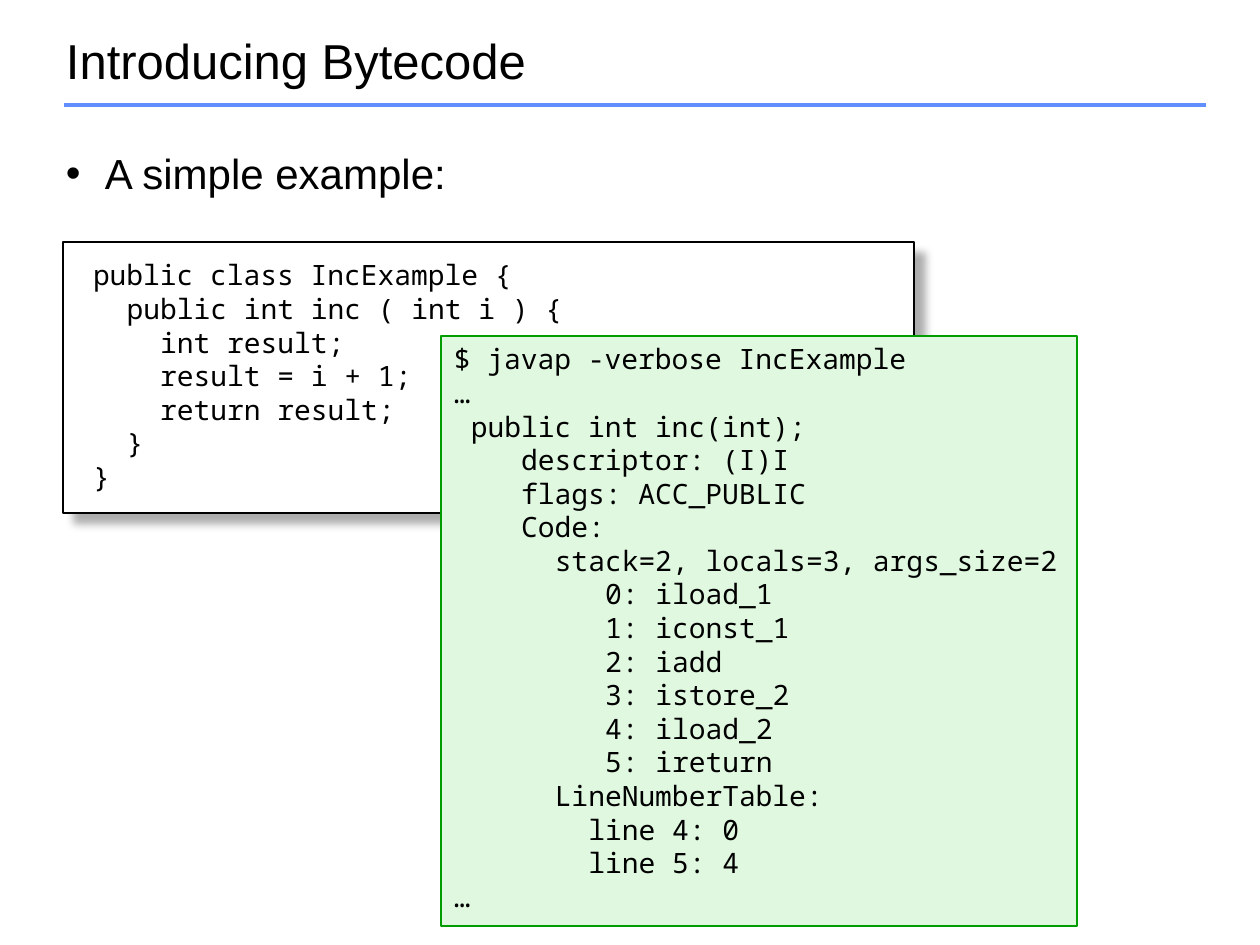
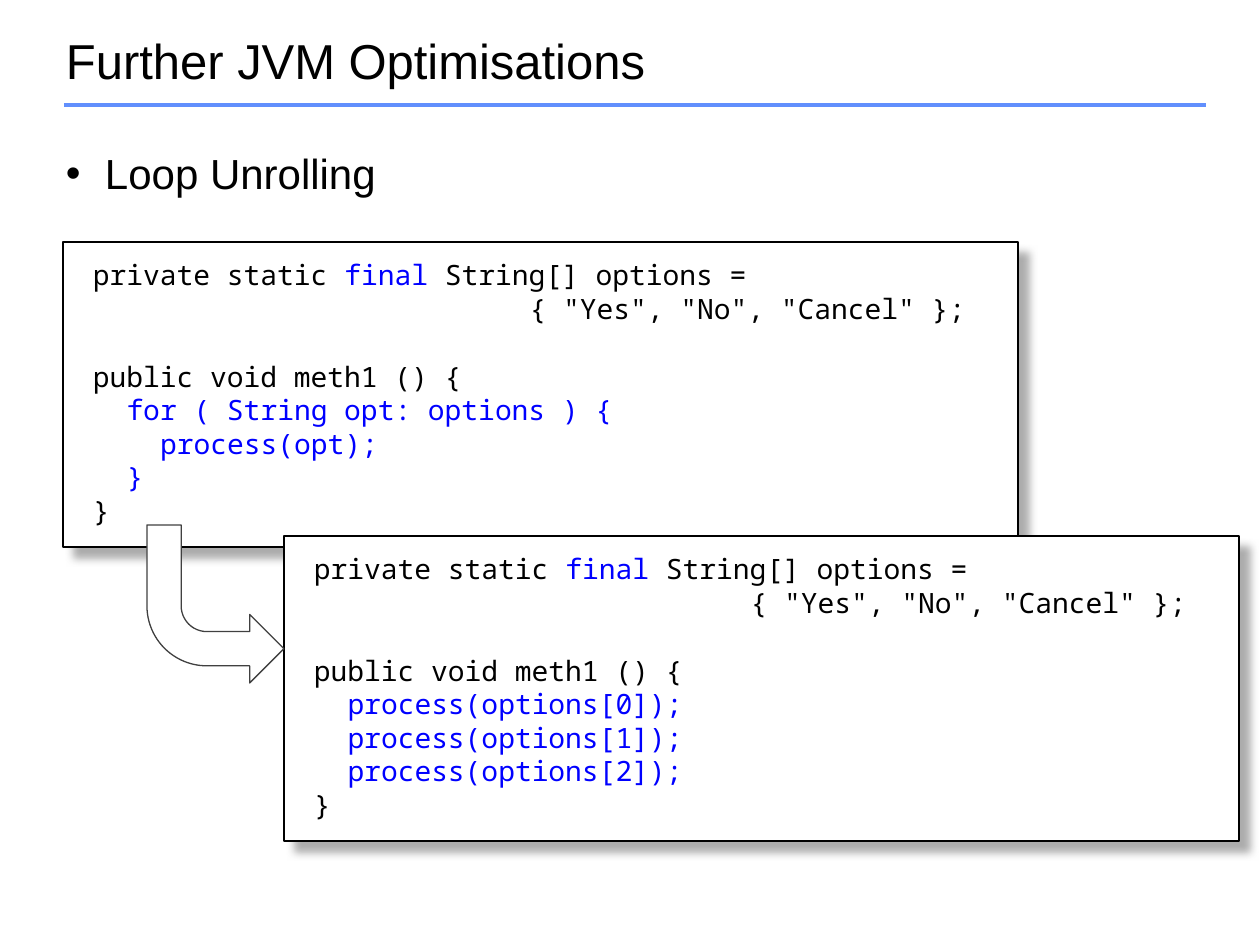
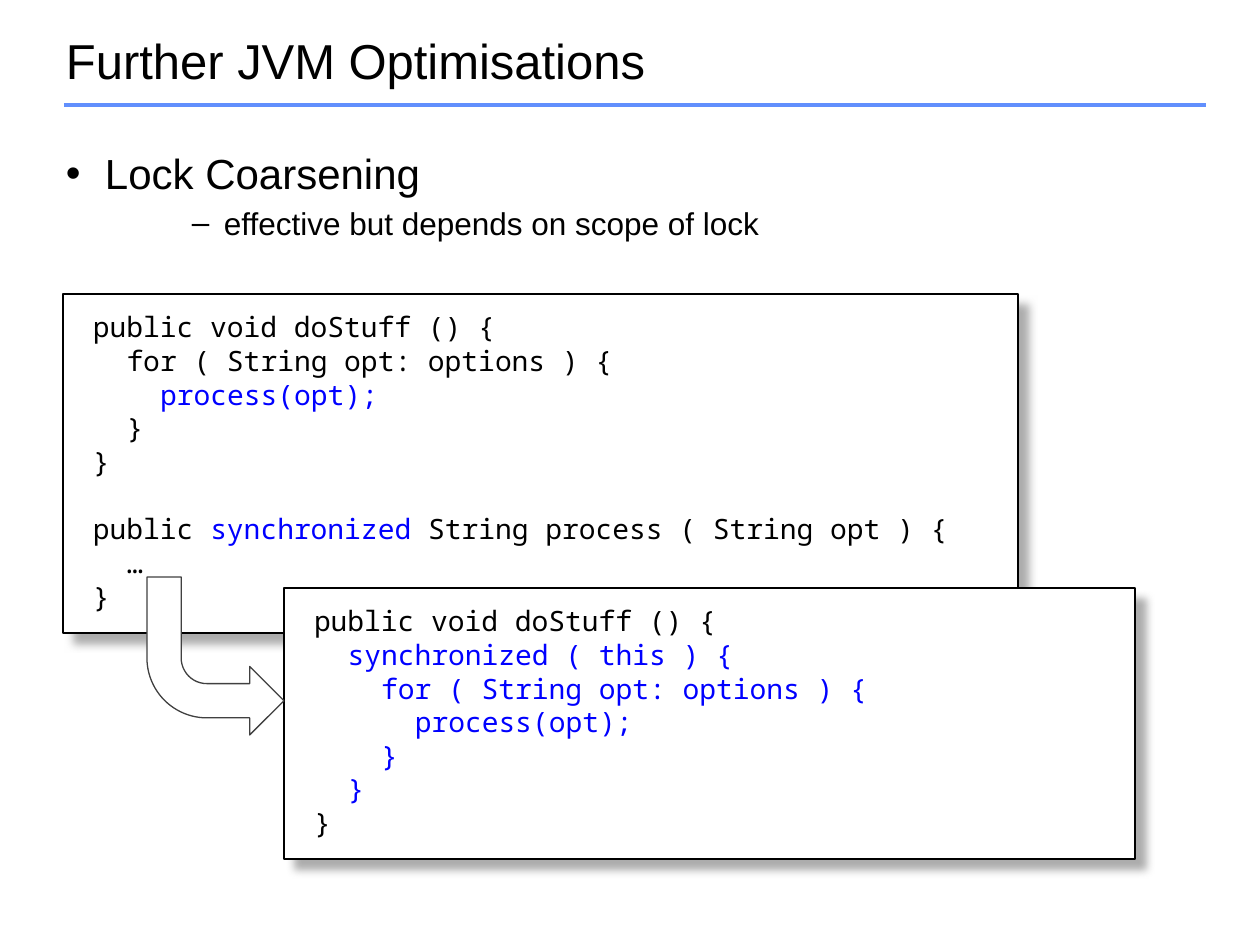
"""Build three slides on JVM bytecode and optimisations."""
from lxml.etree import SubElement
from pptx import Presentation
from pptx.dml.color import RGBColor
from pptx.enum.shapes import MSO_CONNECTOR, MSO_SHAPE
from pptx.enum.text import MSO_ANCHOR, PP_ALIGN
from pptx.oxml.ns import qn
from pptx.util import Emu, Pt

BLACK = RGBColor(0x00, 0x00, 0x00)
WHITE = RGBColor(0xFF, 0xFF, 0xFF)
BLUE = RGBColor(0x00, 0x00, 0xFF)
RULE = RGBColor(0x61, 0x8F, 0xFD)
MINT = RGBColor(0xE0, 0xF8, 0xE0)
GREEN = RGBColor(0x00, 0x9D, 0x00)
GREY = RGBColor(0x40, 0x40, 0x40)
SHADE = RGBColor(0x91, 0x91, 0x91)

SCALE = 914400 / 126
CHAR = 16.8
ROW = 34
MARK = "`"


def px(count):
    return Emu(round(count * SCALE))


def style(target, values):
    for name, value in values.items():
        setattr(target, name, value)


HEAD = {"name": "Arial", "size": Pt(28)}
CODE = {"name": "Noto Sans Mono", "size": Pt(16)}
INSET = {
    "margin_left": px(13), "margin_right": px(13),
    "margin_top": px(6), "margin_bottom": px(6), "word_wrap": True,
}
TOP = {**INSET, "vertical_anchor": MSO_ANCHOR.TOP}
MIDDLE = {**INSET, "vertical_anchor": MSO_ANCHOR.MIDDLE}
PADDED = {**TOP, "margin_left": px(30), "margin_top": px(16), "margin_bottom": px(16)}

LEVELS = [
    {"level": 0, "size": 24, "left": 39, "hang": -39, "sign": "•"},
    {"level": 2, "size": 18, "left": 158, "hang": -32, "sign": "–"},
]
PAPER = {"fill": WHITE, "line": BLACK, "frame": PADDED, "shadow": True}
SHELL = {"fill": MINT, "line": GREEN, "frame": TOP, "shadow": False}

SOURCE = """
public class IncExample {
  public int inc ( int i ) {
    int result;
    result = i + 1;
    return result;
  }
}
"""
LISTING = """
$ javap -verbose IncExample
…
 public int inc(int);
    descriptor: (I)I
    flags: ACC_PUBLIC
    Code:
      stack=2, locals=3, args_size=2
         0: iload_1
         1: iconst_1
         2: iadd
         3: istore_2
         4: iload_2
         5: ireturn
      LineNumberTable:
        line 4: 0
        line 5: 4
…
"""
FIELD = """
private static `final` String[] options =
                          { "Yes", "No", "Cancel" };

public void meth1 () {
"""
LOOP = FIELD + """  `for ( String opt: options ) {`
    `process(opt);`
  `}`
}
"""
FLAT = FIELD + """  `process(options[0]);`
  `process(options[1]);`
  `process(options[2]);`
}
"""
FINE = """
public void doStuff () {
  for ( String opt: options ) {
    `process(opt);`
  }
}

public `synchronized` String process ( String opt ) {
  …
}
"""
COARSE = """
public void doStuff () {
  `synchronized ( this ) {`
    `for ( String opt: options ) {`
      `process(opt);`
    `}`
  `}`
}
"""

PAGES = [
    {
        "title": "Introducing Bytecode",
        "points": ["A simple example:"],
        "depth": 73,
        "blocks": [
            (PAPER, (63, 242, 851, 271), SOURCE),
            (SHELL, (441, 336, 636, 590), LISTING),
        ],
        "arrows": [],
    },
    {
        "title": "Further JVM Optimisations",
        "points": ["Loop Unrolling"],
        "depth": 94,
        "blocks": [
            (PAPER, (63, 242, 955, 305), LOOP),
            (PAPER, (284, 536, 955, 305), FLAT),
        ],
        "arrows": [525],
    },
    {
        "title": "Further JVM Optimisations",
        "points": ["Lock Coarsening", "effective but depends on scope of lock"],
        "depth": 147,
        "blocks": [
            (PAPER, (63, 294, 955, 339), FINE),
            (PAPER, (284, 588, 851, 271), COARSE),
        ],
        "arrows": [577],
    },
]

deck = Presentation()
style(deck, {"slide_width": px(1260), "slide_height": px(945)})

for page in PAGES:
    slide = deck.slides.add_slide(deck.slide_layouts[6])
    shapes = slide.shapes

    rule = shapes.add_connector(MSO_CONNECTOR.STRAIGHT, px(64), px(105), px(1206), px(105))
    rule.line.color.rgb = RULE
    rule.line.width = Pt(2)
    SubElement(rule._element.spPr, qn("a:effectLst"))

    title = shapes.add_textbox(px(53), px(32), px(1155), px(63)).text_frame
    style(title, MIDDLE)
    para = title.paragraphs[0]
    para.line_spacing = 0.9
    run = para.add_run()
    run.text = page["title"]
    style(run.font, HEAD)
    run.font.color.rgb = BLACK

    body = shapes.add_textbox(px(53), px(147), px(1155), px(page["depth"])).text_frame
    style(body, TOP)
    for index, (point, level) in enumerate(zip(page["points"], LEVELS)):
        para = body.add_paragraph() if index else body.paragraphs[0]
        style(para, {"level": level["level"], "line_spacing": 0.9})
        props = para._p.get_or_add_pPr()
        props.set("marL", str(px(level["left"])))
        props.set("indent", str(px(level["hang"])))
        before = SubElement(props, qn("a:spcBef"))
        SubElement(before, qn("a:spcPct"), val="30000")
        SubElement(props, qn("a:buFont"), typeface="Arial")
        SubElement(props, qn("a:buChar"), char=level["sign"])
        run = para.add_run()
        run.text = point
        style(run.font, {"name": "Arial", "size": Pt(level["size"])})
        run.font.color.rgb = BLACK

    for look, box, code in page["blocks"]:
        block = shapes.add_shape(MSO_SHAPE.RECTANGLE, *map(px, box))
        block.fill.solid()
        block.fill.fore_color.rgb = look["fill"]
        block.line.color.rgb = look["line"]
        block.line.width = Pt(0.75)
        block.shadow.inherit = False
        if look["shadow"]:
            effects = block._element.spPr.find(qn("a:effectLst"))
            shadow = SubElement(
                effects, qn("a:outerShdw"), blurRad=str(Pt(5)), dist=str(Pt(8.5)),
                dir="2700000", algn="tl", rotWithShape="0",
            )
            tint = SubElement(shadow, qn("a:srgbClr"), val=str(SHADE))
            SubElement(tint, qn("a:alpha"), val="75000")
        frame = block.text_frame
        style(frame, look["frame"])
        gap = 0
        para = None
        for row in code.strip("\n").splitlines():
            text = row.lstrip()
            if not text:
                gap += ROW
                continue
            para = frame.add_paragraph() if para else frame.paragraphs[0]
            style(para, {"alignment": PP_ALIGN.LEFT, "space_before": px(gap)})
            gap = 0
            props = para._p.get_or_add_pPr()
            props.set("marL", str(px(CHAR * (len(row) - len(text)))))
            props.set("indent", "0")
            for index, part in enumerate(text.split(MARK)):
                if part:
                    run = para.add_run()
                    run.text = part
                    style(run.font, CODE)
                    run.font.color.rgb = BLUE if index % 2 else BLACK

    for top in page["arrows"]:
        arrow = shapes.add_shape(MSO_SHAPE.BENT_ARROW, px(147), px(top), px(137), px(158))
        arrow._element.spPr.find(qn("a:xfrm")).set("flipV", "1")
        arrow.fill.solid()
        arrow.fill.fore_color.rgb = WHITE
        arrow.line.color.rgb = GREY
        arrow.line.width = Pt(0.75)
        arrow.shadow.inherit = False

deck.save("out.pptx")
